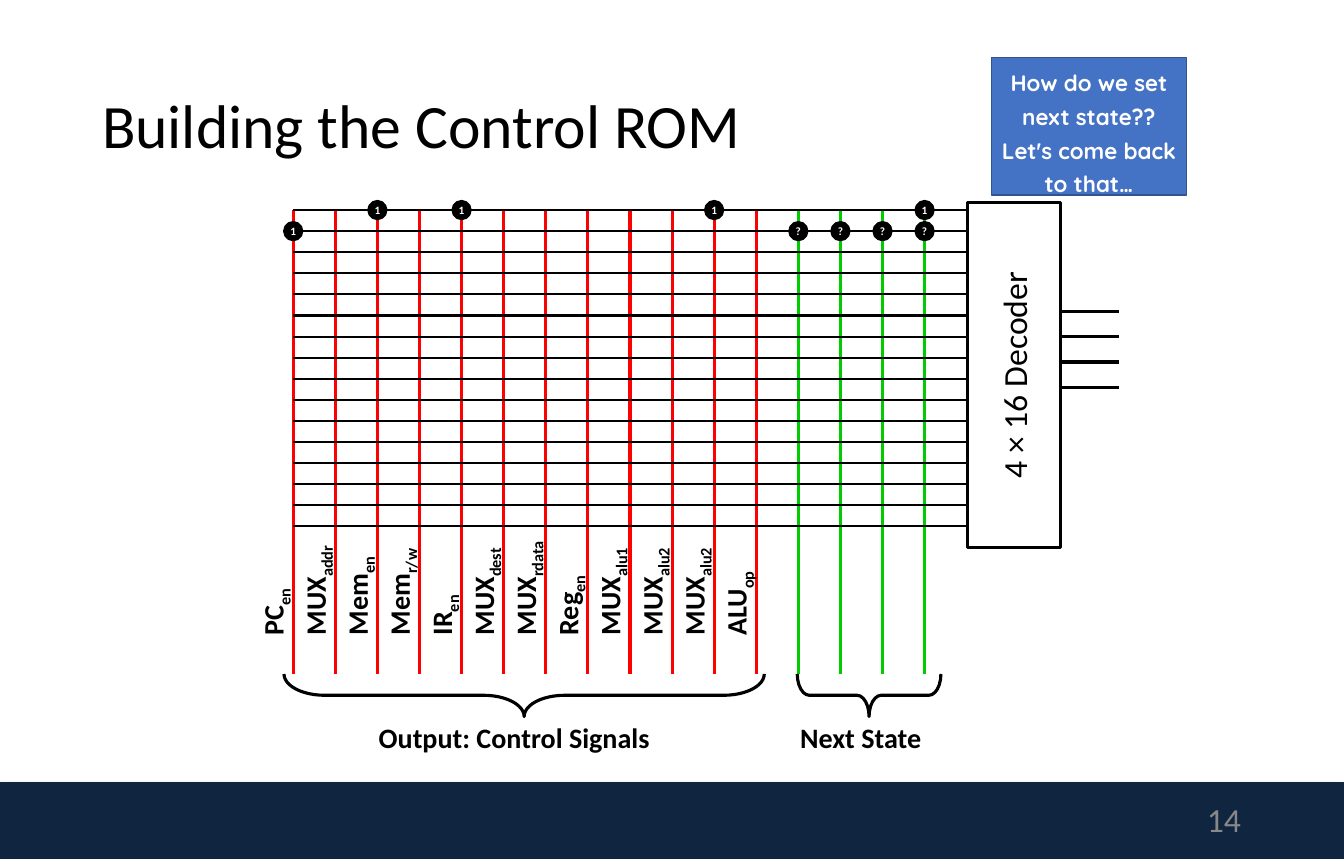
from dataclasses import dataclass
from typing import Any, NamedTuple, Optional

import lxml.etree
import pptx
import pptx.dml.color
import pptx.enum.shapes
import pptx.enum.text
import pptx.oxml.ns
import pptx.util
from pptx.util import Cm

SHAPE = pptx.enum.shapes.MSO_SHAPE
ALIGN = pptx.enum.text.PP_ALIGN
ANCHOR = pptx.enum.text.MSO_ANCHOR
qn = pptx.oxml.ns.qn


@dataclass(frozen=True)
class Theme:
    body_font: str = "Calibri"
    note_font: str = "Quicksand"
    black: str = "000000"
    white: str = "FFFFFF"
    control: str = "FF0000"
    next_state: str = "00CC00"
    footer: str = "10253F"
    page_number: str = "888888"
    note_fill: str = "4472C4"
    note_line: str = "31538F"
    shadow: str = "808080"
    title_size: float = 43.9
    large_size: float = 24
    label_size: float = 20
    note_size: float = 16
    dot_size: float = 8
    heavy_line: float = 2.25
    row_line: float = 1.5
    note_border: float = 1


class Box(NamedTuple):
    left: float
    top: float
    width: float
    height: float

    def turned(self) -> "Box":
        """Frame that covers this box once it is rotated by a quarter turn."""
        shift = (self.width - self.height) / 2
        return Box(self.left + shift, self.top - shift, self.height, self.width)

    def lengths(self) -> list[int]:
        return [Cm(value) for value in self]


class Signal(NamedTuple):
    base: str
    subscript: str
    length: float


class Dot(NamedTuple):
    row: int
    column: int
    mark: str


class Group(NamedTuple):
    caption: str
    brace: Box
    curve: float
    caption_box: Box


THEME = Theme()
LINES = 16
GRID_LEFT, GRID_RIGHT = 7.37, 23.24
GRID_TOP, GRID_BOTTOM = 5.28, 13.23
COLUMN_END = 16.94
COLUMN_GAP = (GRID_RIGHT - GRID_LEFT) / (LINES - 1)
ROW_GAP = (GRID_BOTTOM - GRID_TOP) / (LINES - 1)
DECODER = Box(24.31, 5.08, 2.34, 8.69)
INPUT_TOP, INPUT_GAP, INPUT_END = 7.82, 0.64, 28.12
DOT_DIAMETER = 0.43
SIGNAL_BOTTOM, SIGNAL_HEIGHT, SIGNAL_OFFSET = 16.22, 1.12, 0.51

SIGNALS = [
    Signal("PC", "en", 1.75), Signal("MUX", "addr", 2.97),
    Signal("Mem", "en", 2.57), Signal("Mem", "r/w", 2.79),
    Signal("IR", "en", 1.57), Signal("MUX", "dest", 2.82),
    Signal("MUX", "rdata", 3.1), Signal("Reg", "en", 2.16),
    Signal("MUX", "alu1", 2.87), Signal("MUX", "alu2", 2.87),
    Signal("MUX", "alu2", 2.87), Signal("ALU", "op", 2.49),
]
DOTS = [Dot(0, column, "1") for column in (2, 4, 10, 15)]
DOTS += [Dot(1, 0, "1")]
DOTS += [Dot(1, column, "?") for column in range(len(SIGNALS), LINES)]
GROUPS = [
    Group("Output: Control Signals", Box(7.14, 16.94, 12.07, 1.07), 0.95,
          Box(9.27, 17.98, 7.37, 1.12)),
    Group("Next State", Box(20.04, 16.94, 3.61, 1.07), 0.283,
          Box(19.86, 17.98, 3.63, 1.12)),
]


def rgb(color: str) -> pptx.dml.color.RGBColor:
    return pptx.dml.color.RGBColor.from_string(color)


def write(shape: Any, text: str, size: float, color: str = THEME.black,
          bold: bool = False, align: Any = ALIGN.LEFT, font: str = THEME.body_font,
          spacing: Optional[float] = None) -> None:
    shape.text_frame.text = text
    for paragraph in shape.text_frame.paragraphs:
        paragraph.alignment = align
        if spacing:
            paragraph.line_spacing = spacing
        for run in paragraph.runs:
            style_run(run, size, color, bold, font)


def style_run(run: Any, size: float, color: str, bold: bool, font: str) -> None:
    run.font.size = pptx.util.Pt(size)
    run.font.bold = bold
    run.font.name = font
    run.font.color.rgb = rgb(color)


def add_figure(slide: Any, kind: Any, box: Box, fill: Optional[str] = None,
               line: Optional[str] = THEME.black, width: float = THEME.heavy_line) -> Any:
    figure = slide.shapes.add_shape(kind, *box.lengths())
    figure.shadow.inherit = False
    if fill:
        figure.fill.solid()
        figure.fill.fore_color.rgb = rgb(fill)
    else:
        figure.fill.background()
    if line:
        figure.line.color.rgb = rgb(line)
        figure.line.width = pptx.util.Pt(width)
    else:
        figure.line.fill.background()
    return figure


def add_line(slide: Any, x1: float, y1: float, x2: float, y2: float,
             color: str = THEME.black, width: float = THEME.heavy_line) -> None:
    line = slide.shapes.add_connector(
        pptx.enum.shapes.MSO_CONNECTOR.STRAIGHT, Cm(x1), Cm(y1), Cm(x2), Cm(y2))
    line.line.color.rgb = rgb(color)
    line.line.width = pptx.util.Pt(width)
    lxml.etree.SubElement(line._element.spPr, qn("a:effectLst"))


def add_footer(slide: Any) -> None:
    bar = add_figure(slide, SHAPE.RECTANGLE, Box(0, 19.66, 33.78, 1.93), THEME.footer, None)
    effects = bar._element.spPr.find(qn("a:effectLst"))
    shadow = lxml.etree.SubElement(
        effects, qn("a:outerShdw"), blurRad=str(pptx.util.Pt(3.1)),
        dist=str(pptx.util.Pt(1.8)), dir="5400000", rotWithShape="0")
    tint = lxml.etree.SubElement(shadow, qn("a:srgbClr"), val=THEME.shadow)
    lxml.etree.SubElement(tint, qn("a:alpha"), val="35000")
    number = slide.shapes.add_textbox(*Box(23.85, 20.02, 7.59, 1.14).lengths())
    number.text_frame.word_wrap = True
    number.text_frame.vertical_anchor = ANCHOR.MIDDLE
    write(number, "14", THEME.large_size, THEME.page_number, align=ALIGN.RIGHT)


def add_title(slide: Any) -> None:
    title = slide.shapes.title
    title.left, title.top, title.width, title.height = Box(2.31, 1.14, 29.13, 4.17).lengths()
    title.text_frame.vertical_anchor = ANCHOR.MIDDLE
    write(title, "Building the Control ROM", THEME.title_size, spacing=0.9)


def add_decoder(slide: Any) -> None:
    decoder = add_figure(slide, SHAPE.RECTANGLE, DECODER.turned())
    decoder.rotation = 270
    write(decoder, "4 × 16 Decoder", THEME.large_size, align=ALIGN.CENTER)
    for index in range(4):
        y = INPUT_TOP + index * INPUT_GAP
        add_line(slide, DECODER.left + DECODER.width, y, INPUT_END, y)


def add_grid(slide: Any) -> None:
    for index in range(LINES):
        x = GRID_LEFT + index * COLUMN_GAP
        color = THEME.control if index < len(SIGNALS) else THEME.next_state
        add_line(slide, x, GRID_TOP, x, COLUMN_END, color)
    for index in range(LINES):
        y = GRID_TOP + index * ROW_GAP
        add_line(slide, DECODER.left, y, GRID_LEFT, y, width=THEME.row_line)


def add_signal(slide: Any, column: int, signal: Signal) -> None:
    center = GRID_LEFT + column * COLUMN_GAP - SIGNAL_OFFSET
    upright = Box(center - SIGNAL_HEIGHT / 2, SIGNAL_BOTTOM - signal.length,
                  SIGNAL_HEIGHT, signal.length)
    label = slide.shapes.add_textbox(*upright.turned().lengths())
    label.rotation = 270
    label.text_frame.word_wrap = False
    write(label, signal.base, THEME.label_size, bold=True)
    subscript = label.text_frame.paragraphs[0].add_run()
    subscript.text = signal.subscript
    style_run(subscript, THEME.label_size, THEME.black, True, THEME.body_font)
    subscript._r.get_or_add_rPr().set("baseline", "-25000")


def add_group(slide: Any, group: Group) -> None:
    brace = add_figure(slide, SHAPE.LEFT_BRACE, group.brace.turned())
    brace.rotation = 270
    brace.adjustments[0] = group.curve
    caption = slide.shapes.add_textbox(*group.caption_box.lengths())
    caption.text_frame.word_wrap = False
    write(caption, group.caption, THEME.label_size, bold=True)


def add_dot(slide: Any, dot: Dot) -> None:
    left = GRID_LEFT + dot.column * COLUMN_GAP - DOT_DIAMETER / 2
    top = GRID_TOP + dot.row * ROW_GAP - DOT_DIAMETER / 2
    circle = add_figure(slide, SHAPE.OVAL, Box(left, top, DOT_DIAMETER, DOT_DIAMETER), THEME.black)
    circle.text_frame.word_wrap = False
    write(circle, dot.mark, THEME.dot_size, THEME.white, True, ALIGN.CENTER)


def add_note(slide: Any) -> None:
    note = add_figure(slide, SHAPE.RECTANGLE, Box(24.92, 1.45, 4.9, 3.45),
                      THEME.note_fill, THEME.note_line, THEME.note_border)
    note.text_frame.vertical_anchor = ANCHOR.TOP
    write(note, "How do we set next state??\nLet's come back to that…", THEME.note_size,
          THEME.white, True, ALIGN.CENTER, THEME.note_font, 1.25)


def main() -> None:
    deck = pptx.Presentation()
    deck.slide_width, deck.slide_height = Cm(33.78), Cm(21.59)
    slide = deck.slides.add_slide(deck.slide_layouts[5])
    add_footer(slide)
    add_title(slide)
    add_decoder(slide)
    add_grid(slide)
    for column, signal in enumerate(SIGNALS):
        add_signal(slide, column, signal)
    for group in GROUPS:
        add_group(slide, group)
    for dot in DOTS:
        add_dot(slide, dot)
    add_note(slide)
    deck.save("out.pptx")


if __name__ == "__main__":
    main()
